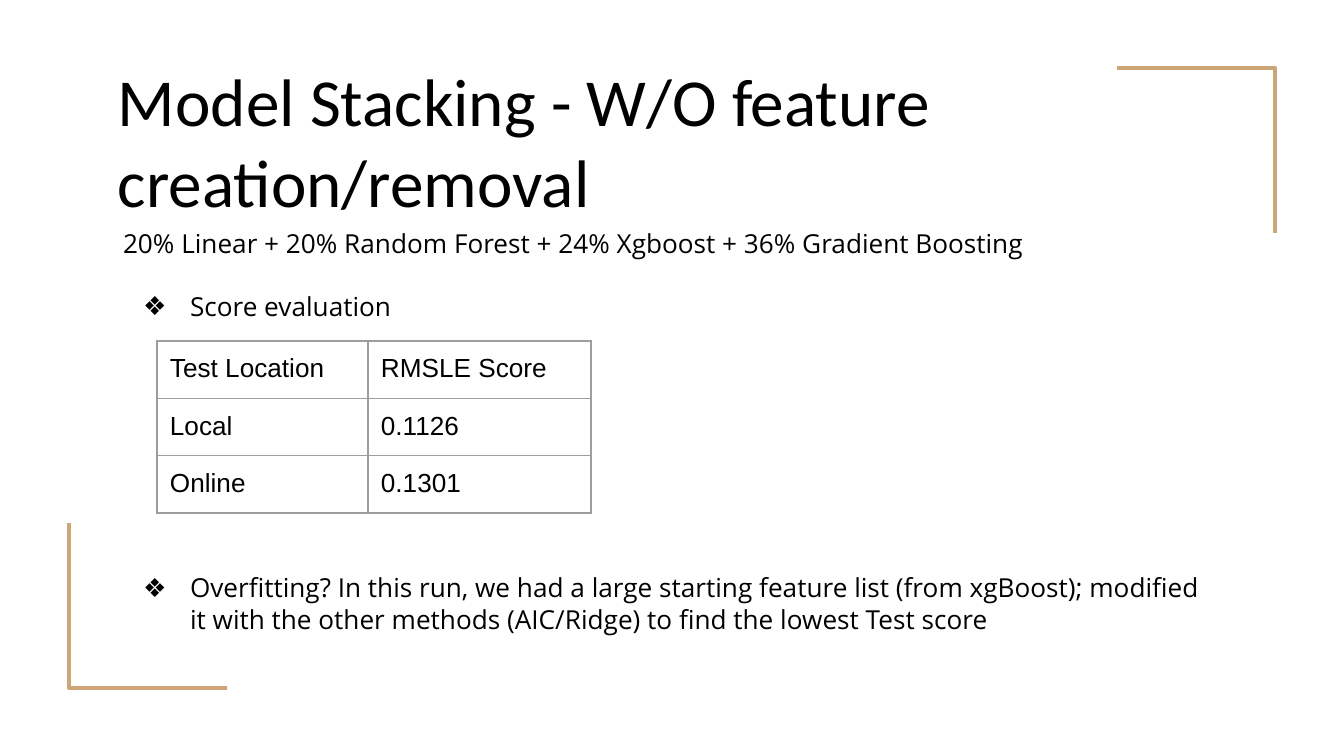
from lxml.etree import SubElement
from pptx import Presentation
from pptx.dml.color import RGBColor
from pptx.enum.text import MSO_ANCHOR as Anchor
from pptx.oxml.ns import qn
from pptx.util import Emu, Pt

EMU_PER_PX = 914400 / 134.4
INK, ACCENT, GRID = "000000", "CCA677", "9E9E9E"
BODY_FONT = "Open Sans"
INSET = 13


def px(length):
    """Turn pixels into EMU."""
    return Emu(round(length * EMU_PER_PX))


def color(code):
    """Turn a hex string into a colour."""
    return RGBColor.from_string(code)


def write(paragraph, text, font_name, size):
    """Fill a paragraph with text in one font."""
    paragraph.text = text
    for run in paragraph.runs:
        run.font.name = font_name
        run.font.size = Pt(size)
        run.font.color.rgb = color(INK)


def set_insets(target):
    """Give a text frame or table cell the common inner margin."""
    target.margin_left = target.margin_right = px(INSET)
    target.margin_top = target.margin_bottom = px(INSET)


def add_bracket(slide, corner_x, corner_y, direction):
    """Draw an L-shaped corner line whose arms point into the slide."""
    arm_x, arm_y = 158 * direction, -165 * direction
    builder = slide.shapes.build_freeform(
        corner_x, corner_y + arm_y, scale=EMU_PER_PX)
    builder.add_line_segments(
        [(corner_x, corner_y), (corner_x + arm_x, corner_y)], close=False)
    bracket = builder.convert_to_shape()
    bracket.shadow.inherit = False
    bracket.fill.background()
    bracket.line.color.rgb = color(ACCENT)
    bracket.line.width = Pt(2.25)


def add_text_frame(slide, left, top, width, height, anchor):
    """Add a wrapping text box and return its frame."""
    frame = slide.shapes.add_textbox(
        px(left), px(top), px(width), px(height)).text_frame
    frame.word_wrap = True
    frame.vertical_anchor = anchor
    set_insets(frame)
    return frame


def add_bullet(paragraph):
    """Give a paragraph a diamond bullet with a hanging indent."""
    properties = paragraph._p.get_or_add_pPr()
    properties.set("marL", str(px(67)))
    properties.set("indent", str(px(-47)))
    bullet_color = SubElement(properties, qn("a:buClr"))
    SubElement(bullet_color, qn("a:srgbClr"), val=INK)
    SubElement(properties, qn("a:buSzPct"), val="100000")
    SubElement(properties, qn("a:buFont"), typeface=BODY_FONT)
    SubElement(properties, qn("a:buChar"), char="❖")


def add_notes_body(slide, items):
    """Write the body from (text, space before, bulleted) items."""
    frame = add_text_frame(slide, 110, 214, 1105, 461, Anchor.TOP)
    for index, (text, gap, bulleted) in enumerate(items):
        paragraph = frame.add_paragraph() if index else frame.paragraphs[0]
        write(paragraph, text, BODY_FONT, 14)
        paragraph.space_before = Pt(gap)
        if bulleted:
            add_bullet(paragraph)


def add_borders(cell):
    """Draw a thin line on every side of a cell."""
    properties = cell._tc.get_or_add_tcPr()
    for side in ("lnL", "lnR", "lnT", "lnB"):
        border = SubElement(properties, qn(f"a:{side}"), w=str(Pt(0.75)))
        fill = SubElement(border, qn("a:solidFill"))
        SubElement(fill, qn("a:srgbClr"), val=GRID)


def add_score_table(slide, scores, left, top, widths, row_height):
    """Add the score table with plain bordered cells."""
    table = slide.shapes.add_table(
        len(scores), len(widths), px(left), px(top),
        px(sum(widths)), px(row_height * len(scores))).table
    table.first_row = table.horz_banding = False
    for column, width in zip(table.columns, widths):
        column.width = px(width)
    for row, values in zip(table.rows, scores):
        row.height = px(row_height)
        for cell, value in zip(row.cells, values):
            set_insets(cell)
            add_borders(cell)
            cell.fill.background()
            write(cell.text_frame.paragraphs[0], value, "Arial", 14)


def main():
    """Build the model stacking slide."""
    deck = Presentation()
    deck.slide_width, deck.slide_height = px(1344), px(756)
    slide = deck.slides.add_slide(deck.slide_layouts[6])
    add_bracket(slide, 1275, 68, -1)
    add_bracket(slide, 69, 688, 1)
    title = add_text_frame(slide, 105, 82, 1117, 116, Anchor.MIDDLE)
    write(title.paragraphs[0],
          "Model Stacking - W/O feature creation/removal", "Calibri", 36)
    add_notes_body(slide, [
        ("20% Linear + 20% Random Forest + 24% Xgboost"
         " + 36% Gradient Boosting", 0, False),
        ("Score evaluation", 17, True),
        ("Overfitting? In this run, we had a large starting feature list "
         "(from xgBoost); modified it with the other methods (AIC/Ridge) "
         "to find the lowest Test score", 134, True),
    ])
    add_score_table(slide, [
        ("Test Location", "RMSLE Score"),
        ("Local", "0.1126"),
        ("Online", "0.1301"),
    ], 157, 341, (211, 223), 40)
    deck.save("out.pptx")


if __name__ == "__main__":
    main()
